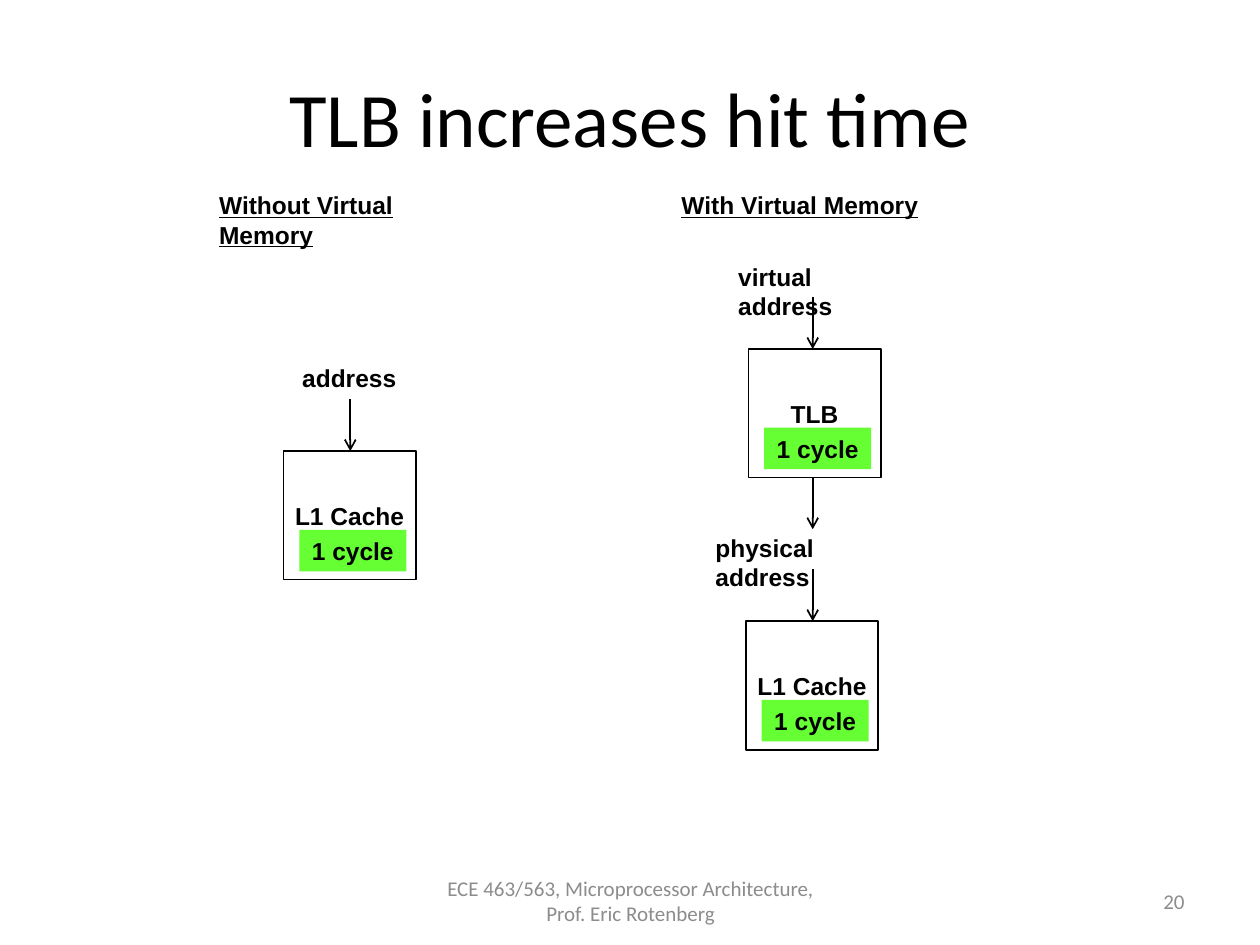
from dataclasses import dataclass, field

from lxml.etree import SubElement
from pptx import Presentation
from pptx.dml.color import RGBColor
from pptx.enum.shapes import MSO_CONNECTOR as Connector, MSO_SHAPE as Preset
from pptx.enum.text import MSO_ANCHOR as Anchor, PP_ALIGN as Align
from pptx.oxml.ns import qn
from pptx.util import Inches, Pt

BLACK = RGBColor(0x00, 0x00, 0x00)
WHITE = RGBColor(0xFF, 0xFF, 0xFF)
GREY = RGBColor(0x8C, 0x8C, 0x8C)
GREEN = RGBColor(0x66, 0xFF, 0x33)

# The slide is a grid of 100 columns and 75 rows
COLUMNS, ROWS = 100, 75
UNIT = Inches(0.1)
UNIT_SIZE, CYCLE_SIZE = (10.5, 10.2), (8.5, 3.3)
CYCLE_OFFSET = (1.25, 6.25)
ARROW_ROWS = 4.1
LABEL_ROWS = 3.3

LABEL_FONT = {"name": "Arial", "size": Pt(14), "bold": True}
HEADING_FONT = LABEL_FONT | {"underline": True}
TITLE_FONT = {"name": "Calibri", "size": Pt(44)}
FOOTER_FONT = {"name": "Calibri", "size": Pt(12)}


@dataclass(frozen=True)
class Caption:
    text: str
    col: float
    row: float
    cols: float
    rows: float = LABEL_ROWS
    font: dict = field(default_factory=lambda: LABEL_FONT)
    color: RGBColor = BLACK
    align: Align = Align.LEFT
    anchor: Anchor = Anchor.TOP
    right_margin: float = 1


@dataclass(frozen=True)
class HardwareUnit:
    name: str
    col: float
    row: float


@dataclass(frozen=True)
class Arrow:
    col: float
    row: float


CAPTIONS = [
    Caption("TLB increases hit time", 5, 3, 90, 12.5, TITLE_FONT,
            align=Align.CENTER, anchor=Anchor.MIDDLE),
    Caption("ECE 463/563, Microprocessor Architecture, Prof. Eric Rotenberg",
            34.2, 69.5, 31.7, 4, FOOTER_FONT, GREY, Align.CENTER, Anchor.MIDDLE),
    Caption("20", 71.7, 69.5, 23.3, 4, FOOTER_FONT, GREY, Align.RIGHT, Anchor.MIDDLE),
    # Headings of the two cases
    Caption("Without Virtual Memory", 16.4, 14.6, 23.8, font=HEADING_FONT, right_margin=3),
    Caption("With Virtual Memory", 53.1, 14.6, 20.8, font=HEADING_FONT, right_margin=0),
    # Addresses that flow between the units
    Caption("address", 23, 28.3, 9.4, right_margin=0),
    Caption("virtual address", 57.6, 20.3, 15.8, right_margin=3),
    Caption("physical address", 55.8, 41.8, 17.7, right_margin=3),
]

UNITS = [
    HardwareUnit("L1 Cache", 22.5, 35.8),
    HardwareUnit("TLB", 59.4, 27.7),
    HardwareUnit("L1 Cache", 59.2, 49.3),
]

ARROWS = [Arrow(27.8, 31.7), Arrow(64.5, 23.6), Arrow(64.5, 37.9), Arrow(64.5, 45.2)]


def grid(*lengths: float) -> list[int]:
    return [round(length * UNIT) for length in lengths]


def write(shape, text: str, font: dict, color: RGBColor, align: Align,
          frame_format: dict) -> None:
    frame = shape.text_frame
    for name, value in frame_format.items():
        setattr(frame, name, value)
    paragraph = frame.paragraphs[0]
    paragraph.alignment = align
    run = paragraph.add_run()
    run.text = text
    for name, value in font.items():
        setattr(run.font, name, value)
    run.font.color.rgb = color


def draw_caption(shapes, caption: Caption) -> None:
    box = shapes.add_textbox(*grid(caption.col, caption.row, caption.cols, caption.rows))
    write(box, caption.text, caption.font, caption.color, caption.align,
          {"word_wrap": True, "vertical_anchor": caption.anchor,
           "margin_right": grid(caption.right_margin)[0]})


def draw_box(shapes, text: str, col: float, row: float, size: tuple,
             fill: RGBColor, outlined: bool) -> None:
    box = shapes.add_shape(Preset.RECTANGLE, *grid(col, row, *size))
    box.shadow.inherit = False
    box.fill.solid()
    box.fill.fore_color.rgb = fill
    if outlined:
        box.line.color.rgb = BLACK
        box.line.width = Pt(1)
    else:
        box.line.fill.background()
    write(box, text, LABEL_FONT, BLACK, Align.CENTER,
          {"word_wrap": False, "vertical_anchor": Anchor.MIDDLE})


def draw_unit(shapes, unit: HardwareUnit) -> None:
    draw_box(shapes, unit.name, unit.col, unit.row, UNIT_SIZE, WHITE, outlined=True)
    across, down = CYCLE_OFFSET
    draw_box(shapes, "1 cycle", unit.col + across, unit.row + down,
             CYCLE_SIZE, GREEN, outlined=False)


def draw_arrow(shapes, arrow: Arrow) -> None:
    line = shapes.add_connector(
        Connector.STRAIGHT,
        *grid(arrow.col, arrow.row, arrow.col, arrow.row + ARROW_ROWS))
    line.line.color.rgb = BLACK
    line.line.width = Pt(1)
    SubElement(line.line._get_or_add_ln(), qn("a:tailEnd"), type="arrow")
    SubElement(line._element.spPr, qn("a:effectLst"))


def main() -> None:
    deck = Presentation()
    deck.slide_width, deck.slide_height = grid(COLUMNS, ROWS)
    shapes = deck.slides.add_slide(deck.slide_layouts[6]).shapes
    for draw, parts in ((draw_caption, CAPTIONS), (draw_unit, UNITS), (draw_arrow, ARROWS)):
        for part in parts:
            draw(shapes, part)
    deck.save("out.pptx")


if __name__ == "__main__":
    main()
